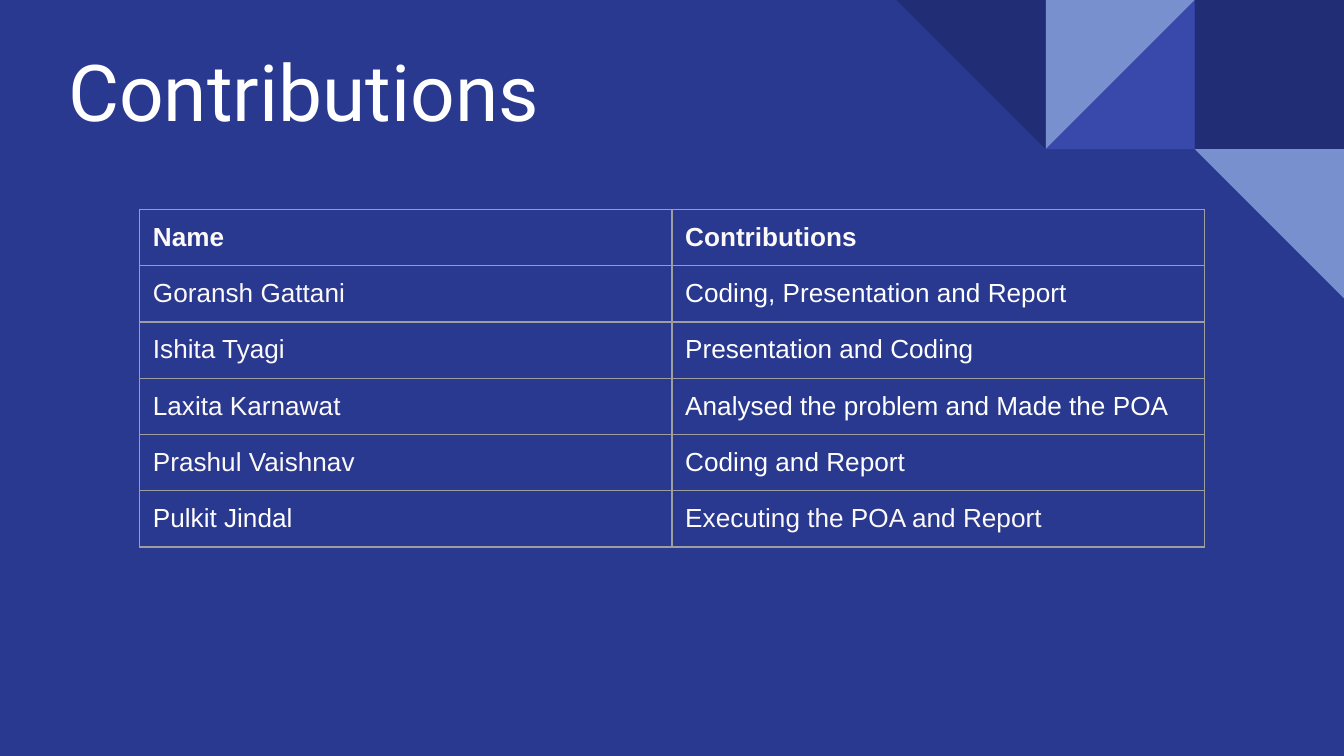
from dataclasses import dataclass

from lxml import etree
from pptx import Presentation
from pptx.dml.color import RGBColor
from pptx.enum import shapes, text
from pptx.oxml import ns
from pptx.util import Cm, Pt


@dataclass(frozen=True)
class Theme:
    back: str = "2A3990"
    dark: str = "212D74"
    mid: str = "3949AB"
    light: str = "7890CD"
    rule: str = "9E9E9E"
    white: str = "FFFFFF"
    soft: str = "FDF9F9"
    head: str = "Roboto"
    body: str = "Arial"
    big: int = 42
    small: int = 14
    line: float = 0.75


LOOK = Theme()
PAD = Cm(0.25)
ROWS = [
    ("Name", "Contributions"),
    ("Goransh Gattani", "Coding, Presentation and Report"),
    ("Ishita Tyagi", "Presentation and Coding"),
    ("Laxita Karnawat", "Analysed the problem and Made the POA"),
    ("Prashul Vaishnav", "Coding and Report"),
    ("Pulkit Jindal", "Executing the POA and Report"),
]


def paint(fill, color):
    fill.solid()
    fill.fore_color.rgb = RGBColor.from_string(color)


def write(frame, words, *, font, size, color, bold=False):
    para = frame.paragraphs[0]
    para.alignment = text.PP_ALIGN.LEFT
    run = para.add_run()
    run.text = words
    run.font.name = font
    run.font.size = Pt(size)
    run.font.bold = bold
    run.font.color.rgb = RGBColor.from_string(color)


def pad(item):
    item.margin_left = item.margin_right = PAD
    item.margin_top = item.margin_bottom = PAD


def frame_cell(cell):
    props = cell._tc.get_or_add_tcPr()
    for spot, side in enumerate(("lnL", "lnR", "lnT", "lnB")):
        line = etree.Element(ns.qn(f"a:{side}"), w=str(Pt(LOOK.line)))
        fill = etree.SubElement(line, ns.qn("a:solidFill"))
        etree.SubElement(fill, ns.qn("a:srgbClr"), val=LOOK.rule)
        props.insert(spot, line)


def add_tiles(slide, left, top, width):
    side = width // 3
    box, wedge = shapes.MSO_SHAPE.RECTANGLE, shapes.MSO_SHAPE.RIGHT_TRIANGLE
    tiles = [
        (box, 2, 0, 0, LOOK.dark),
        (wedge, 1, 0, 270, LOOK.mid),
        (wedge, 1, 0, 90, LOOK.light),
        (wedge, 0, 0, 180, LOOK.dark),
        (wedge, 2, 1, 180, LOOK.light),
    ]
    for kind, col, row, turn, color in tiles:
        tile = slide.shapes.add_shape(
            kind, left + col * side, top + row * side, side, side)
        tile.rotation = turn
        tile.shadow.inherit = False
        paint(tile.fill, color)
        tile.line.fill.background()


def add_title(slide, left, top, width, height):
    title = slide.shapes.title
    title.left, title.top = left, top
    title.width, title.height = width, height
    frame = title.text_frame
    frame.word_wrap = True
    frame.auto_size = text.MSO_AUTO_SIZE.NONE
    frame.vertical_anchor = text.MSO_ANCHOR.MIDDLE
    pad(frame)
    write(frame, "Contributions", font=LOOK.head, size=LOOK.big, color=LOOK.white)


def add_roster(slide, left, top, width, height):
    table = slide.shapes.add_table(
        len(ROWS), len(ROWS[0]), left, top, width, height).table
    table.first_row = table.horz_banding = False
    last = len(ROWS) - 1
    for i, row in enumerate(ROWS):
        for j, words in enumerate(row):
            cell = table.cell(i, j)
            pad(cell)
            cell.fill.background()
            frame_cell(cell)
            soft = i == 0 or (j == 0) != (i == last)
            write(cell.text_frame, words, font=LOOK.body, size=LOOK.small,
                  color=LOOK.soft if soft else LOOK.white, bold=i == 0)


def main():
    deck = Presentation()
    deck.slide_width, deck.slide_height = Cm(25.4), Cm(14.29)
    slide = deck.slides.add_slide(deck.slide_layouts.get_by_name("Title Only"))
    paint(slide.background.fill, LOOK.back)
    add_tiles(slide, Cm(16.94), Cm(0), Cm(8.46))
    add_title(slide, Cm(1.04), Cm(0.53), Cm(22.83), Cm(2.34))
    add_roster(slide, Cm(2.64), Cm(3.96), Cm(20.12), Cm(6.38))
    deck.save("out.pptx")


if __name__ == "__main__":
    main()
